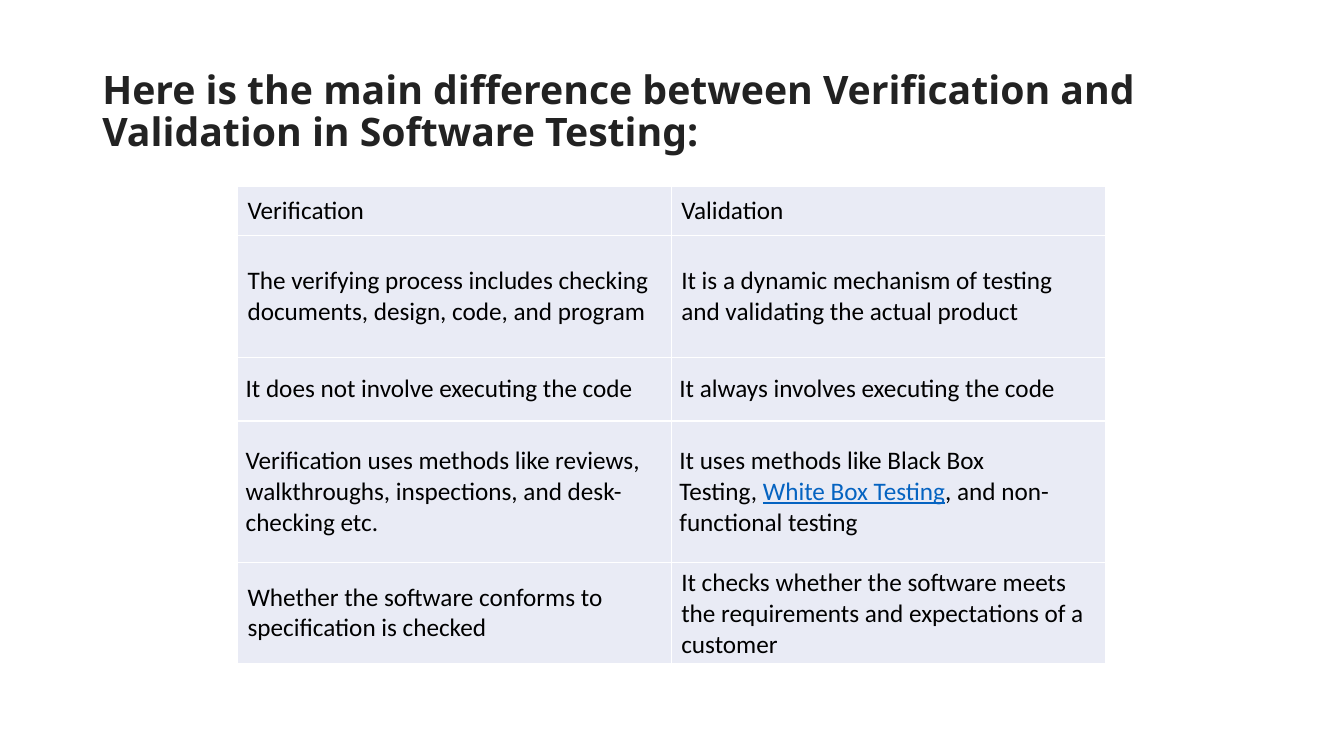
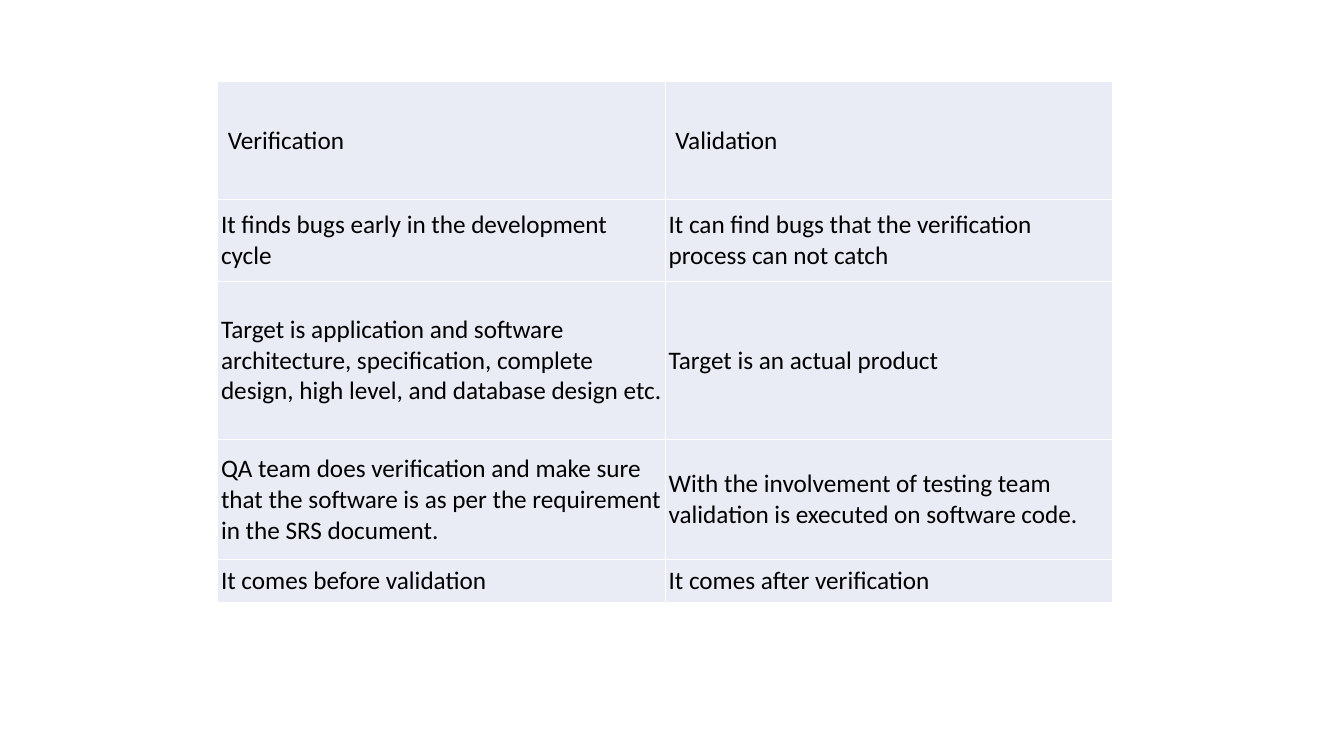
"""Build two slides that compare verification with validation in software testing."""
from dataclasses import dataclass

from lxml.etree import SubElement
from pptx import Presentation
from pptx.dml.color import RGBColor
from pptx.enum.text import MSO_ANCHOR as Anchor
from pptx.oxml.ns import qn
from pptx.slide import Slide
from pptx.table import _Cell as Cell
from pptx.text.text import _Run as Run
from pptx.util import Cm, Pt

WHITE = RGBColor(0xFF, 0xFF, 0xFF)
BLACK = RGBColor(0x00, 0x00, 0x00)
CHARCOAL = RGBColor(0x22, 0x22, 0x22)
PALE_BLUE = RGBColor(0xE9, 0xEB, 0xF5)
LINK_BLUE = RGBColor(0x05, 0x63, 0xC1)

BODY_FONT, TITLE_FONT = "Calibri", "Noto Sans"
LINKED_TERM = "White Box Testing"
HEADINGS = ("Verification", "Validation")


@dataclass(frozen=True)
class Padding:
    side: float
    edge: float


@dataclass(frozen=True)
class Row:
    height: float
    verification: str
    validation: str


@dataclass(frozen=True)
class Section:
    padding: Padding
    rows: tuple[Row, ...]


@dataclass(frozen=True)
class Comparison:
    left: float
    top: float
    column_width: float
    sections: tuple[Section, ...]


ROOMY, MEDIUM, TIGHT = Padding(0.25, 0.13), Padding(0.2, 0.1), Padding(0.08, 0.05)

MAIN_DIFFERENCES = Comparison(5.99, 4.7, 10.93, (
    Section(ROOMY, (
        Row(1.24, *HEADINGS),
        Row(3.07,
            "The verifying process includes checking documents, design, code, and program",
            "It is a dynamic mechanism of testing and\u00a0validating the actual product"),
    )),
    Section(MEDIUM, (
        Row(1.6,
            "It does\u00a0not\u00a0involve executing the code",
            "It always involves executing the code"),
        Row(3.56,
            "Verification uses methods like reviews, walkthroughs, inspections, "
            "and desk- checking etc.",
            "It uses methods like Black Box Testing,\u00a0White Box Testing, "
            "and non-functional testing"),
    )),
    Section(ROOMY, (
        Row(2.55,
            "Whether the software conforms to specification is checked",
            "It checks whether the software meets the requirements and expectations "
            "of a customer"),
    )),
))

FURTHER_DIFFERENCES = Comparison(5.49, 2.06, 11.28, (
    Section(ROOMY, (Row(2.97, *HEADINGS),)),
    Section(TIGHT, (
        Row(2.06,
            "It finds bugs early in the development cycle",
            "It can find bugs that the verification process can not catch"),
        Row(3.99,
            "Target is application and software architecture, specification, "
            "complete design, high level, and database design etc.",
            "Target is an actual product"),
        Row(3.02,
            "QA team does verification and make sure that the software is as per "
            "the requirement in the SRS document.",
            "With the involvement of testing team validation is executed on software code."),
        Row(1.09, "It comes before validation", "It comes after verification"),
    )),
))


def style_run(run: Run, font_name: str, size: float, color: RGBColor) -> None:
    """Set the font, size and colour of a run."""
    run.font.name = font_name
    run.font.size = Pt(size)
    run.font.color.rgb = color


def add_title(slide: Slide, wording: str) -> None:
    """Write the bold slide title."""
    title = slide.shapes.add_textbox(Cm(2.33), Cm(1.01), Cm(29.21), Cm(3.68))
    frame = title.text_frame
    frame.word_wrap = True
    frame.vertical_anchor = Anchor.MIDDLE
    frame.text = wording
    heading = frame.paragraphs[0]
    heading.line_spacing = 0.9
    style_run(heading.runs[0], TITLE_FONT, 28, CHARCOAL)
    heading.runs[0].font.bold = True


def add_borders(cell: Cell) -> None:
    """Draw a thin white line on each side of a cell."""
    properties = cell._tc.get_or_add_tcPr()
    for position, side in enumerate(("a:lnL", "a:lnR", "a:lnT", "a:lnB")):
        border = SubElement(properties, qn(side), w=str(Pt(1)))
        SubElement(SubElement(border, qn("a:solidFill")), qn("a:srgbClr"), val=str(WHITE))
        properties.insert(position, border)


def fill_cell(cell: Cell, wording: str, padding: Padding) -> None:
    """Write and style one cell, underlining the linked term."""
    cell.fill.solid()
    cell.fill.fore_color.rgb = PALE_BLUE
    cell.vertical_anchor = Anchor.MIDDLE
    cell.margin_left = cell.margin_right = Cm(padding.side)
    cell.margin_top = cell.margin_bottom = Cm(padding.edge)
    add_borders(cell)
    statement = cell.text_frame.paragraphs[0]
    for part in filter(None, wording.partition(LINKED_TERM)):
        run = statement.add_run()
        run.text = part
        linked = part == LINKED_TERM
        style_run(run, BODY_FONT, 18, LINK_BLUE if linked else BLACK)
        if linked:
            run.font.underline = True


def add_comparison(slide: Slide, comparison: Comparison) -> None:
    """Stack the sections of a comparison, one table below another."""
    top = comparison.top
    for section in comparison.sections:
        height = sum(row.height for row in section.rows)
        table = slide.shapes.add_table(
            len(section.rows), len(HEADINGS), Cm(comparison.left), Cm(top),
            Cm(comparison.column_width * len(HEADINGS)), Cm(height)).table
        table.first_row = table.horz_banding = False
        for index, row in enumerate(section.rows):
            table.rows[index].height = Cm(row.height)
            for column, wording in enumerate((row.verification, row.validation)):
                fill_cell(table.cell(index, column), wording, section.padding)
        top += height


def main() -> None:
    """Build and save the presentation."""
    deck = Presentation()
    deck.slide_width, deck.slide_height = Cm(33.87), Cm(19.05)
    blank = deck.slide_layouts[6]

    main_slide = deck.slides.add_slide(blank)
    add_title(main_slide, "Here is the main difference between Verification and "
                          "Validation in Software Testing:")
    add_comparison(main_slide, MAIN_DIFFERENCES)

    add_comparison(deck.slides.add_slide(blank), FURTHER_DIFFERENCES)
    deck.save("out.pptx")


main()
